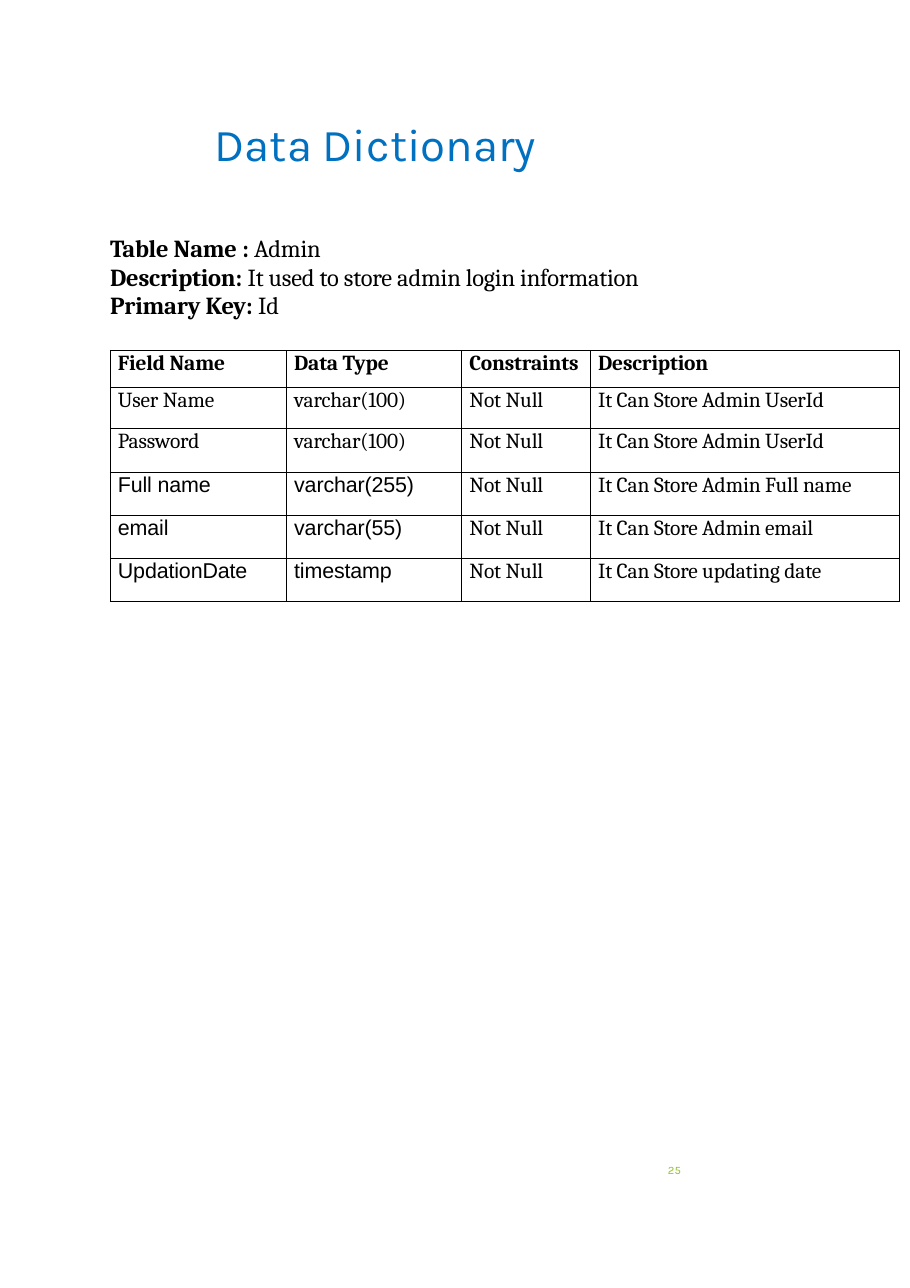
"""Build the data dictionary page for the Admin table."""
from lxml import etree
from pptx import Presentation
from pptx import util as u
from pptx.dml.color import RGBColor
from pptx.enum import text as t
from pptx.oxml.ns import qn

TITLE = "Data Dictionary"
PAGE = "25"
FACTS = [
    ("Table Name : ", "Admin"),
    ("Description: ", "It used to store admin login information"),
    ("Primary Key: ", "Id"),
]
FIELDS = [
    ("Field Name", "Data Type", "Constraints", "Description"),
    ("User Name", "varchar(100)", "Not Null", "It Can Store Admin UserId"),
    ("Password", "varchar(100)", "Not Null", "It Can Store Admin UserId"),
    ("Full name", "varchar(255)", "Not Null", "It Can Store Admin Full name"),
    ("email", "varchar(55)", "Not Null", "It Can Store Admin email"),
    ("UpdationDate", "timestamp", "Not Null", "It Can Store updating date"),
]
WIDTHS = [1.6, 1.59, 1.17, 2.8]
HEIGHTS = [0.34, 0.37, 0.4, 0.39, 0.39, 0.39]
BLACK, BLUE, GREEN = "000000", "0070C0", "90C226"


def color(code):
    return RGBColor.from_string(code)


def style(run, face, size, code, bold=False, track=0):
    font = run.font
    font.name, font.size, font.bold = face, u.Pt(size), bold
    font.color.rgb = color(code)
    run._r.get_or_add_rPr().set("spc", str(track))


def frame(shape, top=0.01, side=0):
    body = shape.text_frame
    body.word_wrap = True
    body.auto_size = t.MSO_AUTO_SIZE.NONE
    body.margin_left = body.margin_right = u.Inches(side)
    body.margin_top, body.margin_bottom = u.Inches(top), 0
    return body


def indent(para, left):
    props = para._p.get_or_add_pPr()
    props.set("marL", str(u.Inches(left)))
    props.set("indent", "0")


def border(cell):
    props = cell._tc.get_or_add_tcPr()
    for side in ("lnL", "lnR", "lnT", "lnB"):
        line = etree.SubElement(props, qn("a:" + side), w=str(u.Pt(0.5)))
        fill = etree.SubElement(line, qn("a:solidFill"))
        etree.SubElement(fill, qn("a:srgbClr"), val=BLACK)


def add_title(slide):
    shape = slide.shapes.title
    shape.left, shape.top = u.Inches(0.55), u.Inches(1.04)
    shape.width, shape.height = u.Inches(5.74), u.Inches(0.51)
    body = frame(shape)
    body.text = TITLE
    body.vertical_anchor = t.MSO_ANCHOR.TOP
    para = body.paragraphs[0]
    para.alignment = t.PP_ALIGN.LEFT
    para.space_before = u.Pt(1)
    indent(para, 1.4)
    style(para.runs[0], "Karla", 29.8, BLUE)


def add_page(slide):
    box = slide.shapes.add_textbox(*map(u.Inches, (5.82, 10.3, 0.46, 0.62)))
    body = frame(box, side=0.1)
    body.text = PAGE
    body.vertical_anchor = t.MSO_ANCHOR.MIDDLE
    para = body.paragraphs[0]
    para.alignment = t.PP_ALIGN.RIGHT
    style(para.runs[0], "Karla", 7.4, GREEN)


def add_facts(slide):
    box = slide.shapes.add_textbox(*map(u.Inches, (0.99, 2.11, 5.12, 0.81)))
    body = frame(box)
    for i, fact in enumerate(FACTS):
        para = body.add_paragraph() if i else body.paragraphs[0]
        para.line_spacing = u.Pt(18.8)
        indent(para, 0.01)
        for part, bold in zip(fact, (True, False)):
            run = para.add_run()
            run.text = part
            style(run, "Cambria", 16, BLACK, bold, -10)


def add_fields(slide):
    area = (1, 3.18, sum(WIDTHS), sum(HEIGHTS))
    grid = slide.shapes.add_table(
        len(FIELDS), len(WIDTHS), *map(u.Inches, area)).table
    grid.first_row = grid.horz_banding = False
    for col, width in zip(grid.columns, WIDTHS):
        col.width = u.Inches(width)
    for r, (row, height) in enumerate(zip(FIELDS, HEIGHTS)):
        grid.rows[r].height = u.Inches(height)
        for c, word in enumerate(row):
            cell = grid.cell(r, c)
            cell.margin_left = cell.margin_right = 0
            cell.margin_top = cell.margin_bottom = 0
            border(cell)
            cell.fill.background()
            cell.text_frame.text = word
            sans = r > 2 and c < 2
            para = cell.text_frame.paragraphs[0]
            para.line_spacing = u.Pt(16.1 if sans else 16.4)
            indent(para, 0.07)
            face = "Arial" if sans else "Cambria"
            style(para.runs[0], face, 14, BLACK, r == 0, -10)


def main():
    deck = Presentation()
    deck.slide_width, deck.slide_height = u.Inches(8.26), u.Inches(11.69)
    slide = deck.slides.add_slide(deck.slide_layouts[5])
    for add in (add_title, add_page, add_facts, add_fields):
        add(slide)
    deck.save("out.pptx")


if __name__ == "__main__":
    main()
